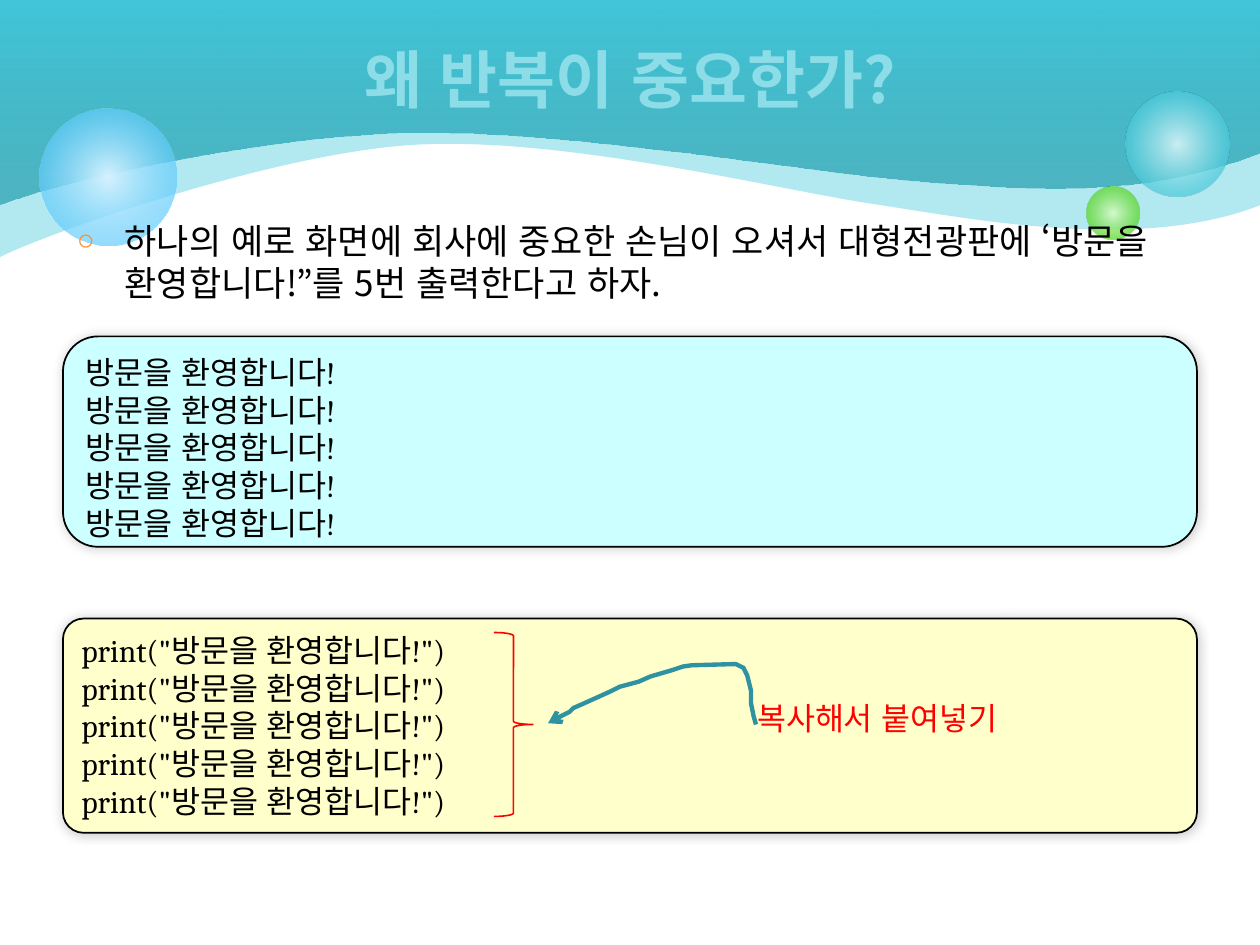
import pptx
import pptx.util
import pptx.oxml
import pptx.oxml.ns
import pptx.dml.color
import pptx.enum.lang
import pptx.enum.shapes
import pptx.enum.text
from lxml import etree

Inches, Pt = pptx.util.Inches, pptx.util.Pt
RGB = pptx.dml.color.RGBColor.from_string
SHAPE = pptx.enum.shapes.MSO_SHAPE
ALIGN = pptx.enum.text.PP_ALIGN
ANCHOR = pptx.enum.text.MSO_ANCHOR
qn = pptx.oxml.ns.qn
NS = pptx.oxml.ns.nsdecls("a")
KOREAN = "Noto Sans CJK KR"
COLORS = {"sky": "40C6D8", "teal": "249EAE", "title": "8CDDE8", "bullet": "FE8C2E",
          "black": "000000", "red": "FF0000", "screen": "CCFFFF", "code": "FFFFCC",
          "arrow": "2F92A0"}


def set_gradient(shape, stops, direction):
    """Fill with (position, colour, opacity) stops, in percent."""
    shape.shadow.inherit = False
    shape.line.fill.background()
    shape.fill.background()
    marks = "".join(
        f'<a:gs pos="{pos * 1000}"><a:srgbClr val="{color}">'
        f'<a:alpha val="{opacity * 1000}"/></a:srgbClr></a:gs>'
        for pos, color, opacity in stops)
    empty = shape.element.spPr.find(qn("a:noFill"))
    empty.getparent().replace(empty, pptx.oxml.parse_xml(
        f'<a:gradFill {NS} rotWithShape="1"><a:gsLst>{marks}</a:gsLst>{direction}</a:gradFill>'))


def write(frame, lines, size, color, font=KOREAN):
    """Write one paragraph per line, in one font."""
    frame.text = "\n".join(lines)
    for para in frame.paragraphs:
        para.alignment = ALIGN.LEFT
        para.line_spacing = Pt(size * 1.2)
        para.font.size = Pt(size)
        para.font.name = font
        para.font.language_id = pptx.enum.lang.MSO_LANGUAGE_ID.KOREAN
        para.font.color.rgb = RGB(COLORS[color])


deck = pptx.Presentation()
deck.slide_width, deck.slide_height = Inches(10), Inches(7.5)
page = deck.slides.add_slide(deck.slide_layouts[1])
shapes = page.shapes

# Waves: left edge, then cubic curves to the right edge, closed along the top
pale = [(0, COLORS["sky"], 40), (100, COLORS["sky"], 40)]
deep = [(0, COLORS["teal"], 69), (100, COLORS["sky"], 100)]
waves = [
    (pale, [(0, 2.04), (0.33, 1.87), (2.14, 1.22), (3.28, 1.15), (4.43, 1.08),
            (6.06, 1.48), (6.87, 1.61), (7.68, 1.73), (9.02, 2.01), (10, 1.63)]),
    (deep, [(0, 1.62), (0.45, 1.44), (2.03, 1.08), (3.26, 1.05), (4.49, 1.02),
            (6.58, 1.39), (7.37, 1.44), (8.16, 1.49), (9.02, 1.59), (10, 1.21)]),
]
for stops, knots in waves:
    builder = shapes.build_freeform(0, 0)
    builder.add_line_segments([(Inches(x), Inches(y)) for x, y in knots + [(10.01, 0)]])
    wave = builder.convert_to_shape()
    # Join each three points after the left edge into one curve
    segments = list(wave.element.iter(qn("a:lnTo")))[1:len(knots)]
    for start in range(0, len(segments), 3):
        curve = etree.Element(qn("a:cubicBezTo"))
        segments[start].addprevious(curve)
        for segment in segments[start:start + 3]:
            curve.append(segment[0])
            segment.getparent().remove(segment)
    set_gradient(wave, stops, '<a:lin ang="16200000" scaled="0"/>')

# Bubbles
CENTER = '<a:path path="circle"><a:fillToRect l="50000" t="50000" r="50000" b="50000"/></a:path>'
for left, top, size, stops in [
    (8.93, 0.73, 0.83, [(0, "D9F4F7", 90), (76, COLORS["sky"], 70)]),
    (8.62, 1.48, 0.42, [(0, "DAFACD", 90), (76, "4CD416", 70)]),
    (0.31, 0.86, 1.09, [(0, "D6F2FE", 100), (100, "33BDFB", 54)]),
]:
    bubble = shapes.add_shape(SHAPE.OVAL, Inches(left), Inches(top), Inches(size), Inches(size))
    set_gradient(bubble, stops, CENTER)

# Body and title, brought in front of the decoration
title, body = shapes.title, page.placeholders[1]
for holder, left, top, width, height in [(body, 0.51, 1.69, 9, 4.95), (title, 0.5, 0, 9, 1.25)]:
    holder.left, holder.top = Inches(left), Inches(top)
    holder.width, holder.height = Inches(width), Inches(height)
    holder.text_frame.auto_size = pptx.enum.text.MSO_AUTO_SIZE.NONE
    shapes.element.append(holder.element)

write(body.text_frame, ["하나의 예로 화면에 회사에 중요한 손님이 오셔서 대형전광판에 "
                        "‘방문을 환영합니다!”를 5번 출력한다고 하자."], 20, "black")
item = body.text_frame.paragraphs[0]
item.space_before = Pt(4)
props = item._p.get_or_add_pPr()
props.set("marL", str(Inches(0.38)))
props.set("indent", str(-Inches(0.38)))
bullet = [f'<a:buClr {NS}><a:srgbClr val="{COLORS["bullet"]}"/></a:buClr>',
          f'<a:buSzPct {NS} val="85000"/>', f'<a:buChar {NS} char="○"/>']
for part in bullet:
    props.find(qn("a:defRPr")).addprevious(pptx.oxml.parse_xml(part))

write(title.text_frame, ["왜 반복이 중요한가?"], 36, "title")
title.text_frame.vertical_anchor = ANCHOR.MIDDLE
heading = title.text_frame.paragraphs[0]
heading.alignment = ALIGN.CENTER
heading.font.bold = True

# Output panel and code panel
greeting = "방문을 환영합니다!"
for preset, top, height, fill, line in [
    (SHAPE.FLOWCHART_ALTERNATE_PROCESS, 2.67, 1.67, "screen", greeting),
    (SHAPE.ROUNDED_RECTANGLE, 4.91, 1.7, "code", f'print("{greeting}")'),
]:
    panel = shapes.add_shape(preset, Inches(0.5), Inches(top), Inches(9), Inches(height))
    if preset == SHAPE.ROUNDED_RECTANGLE:
        panel.adjustments[0] = 0.096
    panel.fill.solid()
    panel.fill.fore_color.rgb = RGB(COLORS[fill])
    panel.line.color.rgb = RGB(COLORS["black"])
    panel.line.width = Pt(1)
    panel.shadow.inherit = False
    panel.element.spPr.find(qn("a:effectLst")).append(pptx.oxml.parse_xml(
        f'<a:outerShdw {NS} blurRad="{Pt(6)}" dist="0" dir="18900000">'
        '<a:srgbClr val="000000"><a:alpha val="20000"/></a:srgbClr></a:outerShdw>'))
    panel.text_frame.vertical_anchor = ANCHOR.TOP
    write(panel.text_frame, [line] * 5, 18, "black", "Cambria")

# Label
label = shapes.add_textbox(Inches(5.91), Inches(5.5), Inches(2.29), Inches(0.4))
label.text_frame.word_wrap = False
write(label.text_frame, ["복사해서 붙여넣기"], 18, "red")

# Brace
brace = shapes.add_shape(SHAPE.RIGHT_BRACE, Inches(3.92), Inches(5.02), Inches(0.31), Inches(1.46))
brace.shadow.inherit = False
brace.fill.background()
brace.line.color.rgb = RGB(COLORS["red"])
brace.line.width = Pt(0.9)

# Hand-drawn arrow from the label to the brace
stroke = [(6, 5.75), (5.98, 5.68), (5.96, 5.58), (5.96, 5.48), (5.93, 5.36),
          (5.9, 5.3), (5.84, 5.27), (5.49, 5.28), (5.42, 5.29), (5.33, 5.32),
          (5.16, 5.37), (5.07, 5.41), (4.92, 5.45), (4.84, 5.49),
          (4.64, 5.58), (4.55, 5.62), (4.52, 5.65), (4.42, 5.7), (4.35, 5.74)]
points = [(Inches(x), Inches(y)) for x, y in stroke]
builder = shapes.build_freeform(*points[0])
builder.add_line_segments(points[1:], close=False)
arrow = builder.convert_to_shape()
arrow.shadow.inherit = False
arrow.fill.background()
arrow.line.color.rgb = RGB(COLORS["arrow"])
arrow.line.width = Pt(2.5)
outline = arrow.element.spPr.find(qn("a:ln"))
etree.SubElement(outline, qn("a:round"))
etree.SubElement(outline, qn("a:tailEnd"), type="arrow")

deck.save("out.pptx")
